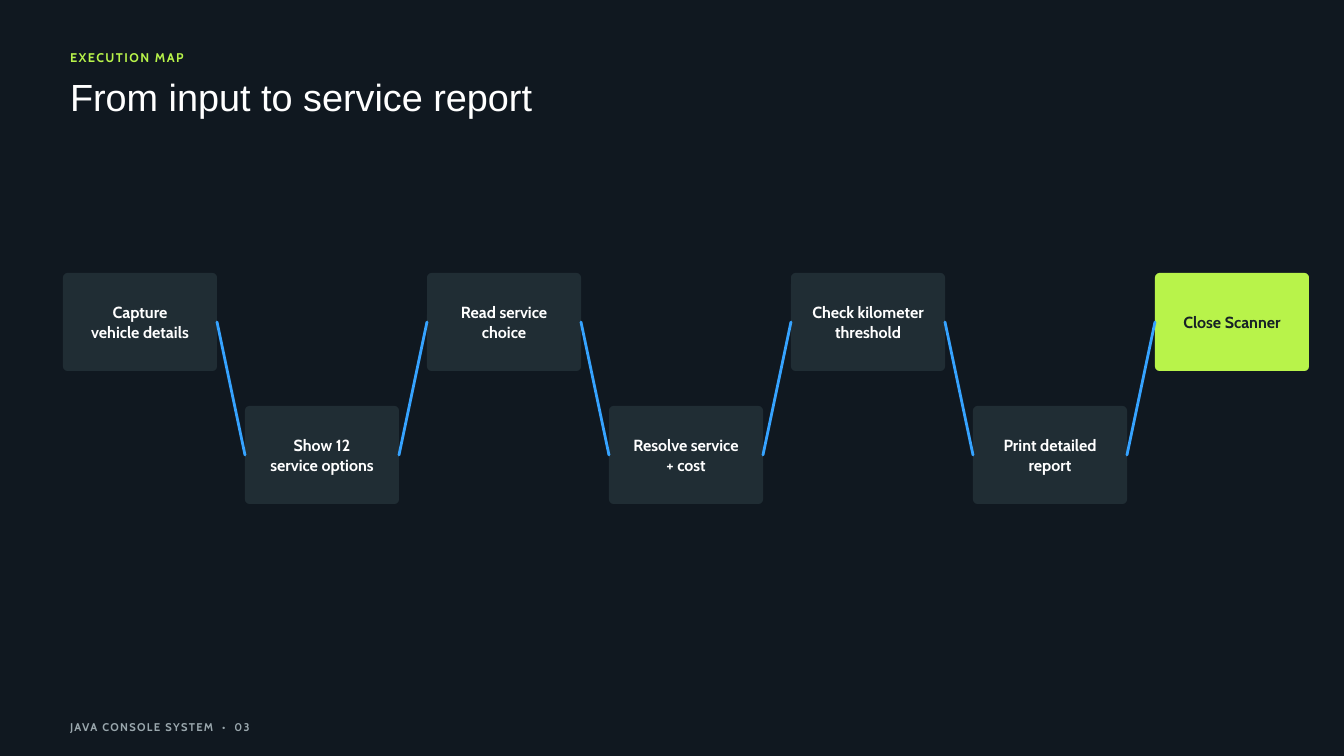
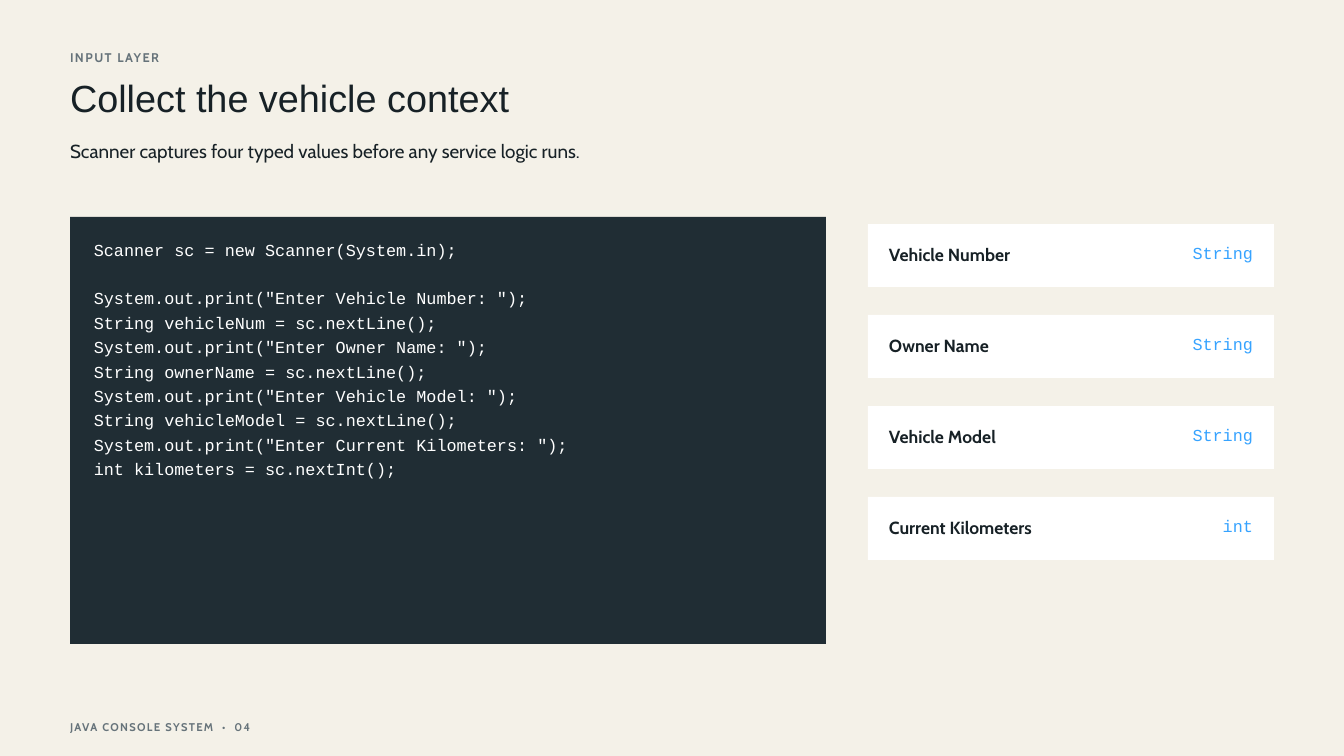
from itertools import pairwise

from lxml.etree import SubElement
from pptx import Presentation
from pptx.dml.color import RGBColor
from pptx.enum.shapes import MSO_CONNECTOR, MSO_SHAPE
from pptx.enum.text import MSO_ANCHOR, MSO_AUTO_SIZE, PP_ALIGN
from pptx.oxml.ns import qn
from pptx.util import Inches, Pt

# Shared look
COLORS = {
    "night": "101820",
    "paper": "F4F1E8",
    "panel": "202D34",
    "ink": "172126",
    "white": "FFFFFF",
    "lime": "B8F34A",
    "blue": "36A3FF",
    "slate": "66737A",
    "mist": "9AA7AD",
}
THEMES = {
    "dark": {"bg": "night", "eyebrow": "lime", "title": "white", "footer": "mist"},
    "light": {"bg": "paper", "eyebrow": "slate", "title": "ink", "footer": "slate"},
}
HEAD, BODY, CODE = "Arial", "Cabin", "Courier New"

# Grid of 192 columns by 108 rows
WIDTH, HEIGHT = Inches(20), Inches(11.25)
UNIT = WIDTH / 192
MARGIN = 10
TITLE_ONLY = 5

# Slide content
STEPS = [
    "Capture\nvehicle details",
    "Show 12\nservice options",
    "Read service\nchoice",
    "Resolve service\n+ cost",
    "Check kilometer\nthreshold",
    "Print detailed\nreport",
    "Close Scanner",
]
SCANNER_SETUP = "Scanner sc = new Scanner(System.in);"
PROMPTS = """System.out.print("Enter Vehicle Number: ");
String vehicleNum = sc.nextLine();
System.out.print("Enter Owner Name: ");
String ownerName = sc.nextLine();
System.out.print("Enter Vehicle Model: ");
String vehicleModel = sc.nextLine();
System.out.print("Enter Current Kilometers: ");
int kilometers = sc.nextInt();"""
FIELDS = [
    ("Vehicle Number", "String"),
    ("Owner Name", "String"),
    ("Vehicle Model", "String"),
    ("Current Kilometers", "int"),
]


def rgb(name):
    return RGBColor.from_string(COLORS[name])


def grid(*cells):
    return [round(c * UNIT) for c in cells]


def write(sp, text, font, size, color, leading, bold=False, align=PP_ALIGN.LEFT,
          anchor=MSO_ANCHOR.TOP, inset=0, spacing=0):
    """Fill a shape with text, one paragraph per line."""
    tf = sp.text_frame
    tf.word_wrap = True
    tf.auto_size = MSO_AUTO_SIZE.NONE
    tf.vertical_anchor = anchor
    tf.margin_left = tf.margin_right = tf.margin_top = tf.margin_bottom = Inches(inset)
    tf.text = text
    for p in tf.paragraphs:
        p.alignment = align
        p.line_spacing = Pt(leading)
        for r in p.runs:
            r.font.name = font
            r.font.size = Pt(size)
            r.font.bold = bold
            r.font.color.rgb = rgb(color)
            if spacing:
                r.font._element.set("spc", str(round(spacing * 100)))
    return tf


def add_text(s, box, *args, **kwargs):
    return write(s.shapes.add_textbox(*grid(*box)), *args, **kwargs)


def add_block(s, box, color, shape=MSO_SHAPE.RECTANGLE):
    sp = s.shapes.add_shape(shape, *grid(*box))
    sp.shadow.inherit = False
    sp.fill.solid()
    sp.fill.fore_color.rgb = rgb(color)
    sp.line.fill.background()
    return sp


def add_base(prs, theme, eyebrow, title, title_top, number):
    """Add a slide with its background, eyebrow, title and footer."""
    look = THEMES[theme]
    s = prs.slides.add_slide(prs.slide_layouts[TITLE_ONLY])
    s.background.fill.solid()
    s.background.fill.fore_color.rgb = rgb(look["bg"])
    sp = s.shapes.title
    sp.left, sp.top, sp.width, sp.height = grid(MARGIN, title_top, 120, 6)
    write(sp, title, HEAD, 40.5, look["title"], 42.5)
    add_text(s, (MARGIN, 6.7, 50, 2.4), eyebrow, BODY, 13.5, look["eyebrow"], 18.9,
             bold=True, spacing=1.6)
    add_text(s, (MARGIN, 102.6, 60, 2.1), f"JAVA CONSOLE SYSTEM  •  {number:02}",
             BODY, 12, look["footer"], 16.8, bold=True, spacing=1.4)
    return s


def add_step(s, index, label, last):
    """Add one step box; odd steps sit on the lower row."""
    box = (9 + 26 * index, 39 + 19 * (index % 2), 22, 14)
    sp = add_block(s, box, "lime" if last else "panel", MSO_SHAPE.ROUNDED_RECTANGLE)
    sp.adjustments[0] = 0.045
    write(sp, label, BODY, 17.2, "ink" if last else "white", 20.7, bold=True,
          align=PP_ALIGN.CENTER, anchor=MSO_ANCHOR.MIDDLE, inset=0.06)
    return sp


def add_link(s, start, end):
    """Join the right side of one step to the left side of the next."""
    cx = s.shapes.add_connector(MSO_CONNECTOR.STRAIGHT, 0, 0, 0, 0)
    cx.begin_connect(start, 3)
    cx.end_connect(end, 1)
    cx.line.color.rgb = rgb("blue")
    cx.line.width = Pt(3)
    cx.get_or_add_ln().set("cap", "rnd")
    SubElement(cx._element.spPr, qn("a:effectLst"))


def add_field(s, index, name, kind):
    """Add one card with a field name and its type."""
    top = 32 + 13 * index
    add_block(s, (124, top, 58, 9), "white")
    add_text(s, (127, top + 2.3, 39, 3.3), name, BODY, 18.8, "ink", 26.2, bold=True)
    add_text(s, (166, top + 2.2, 13, 3.2), kind, CODE, 18, "blue", 25.2,
             align=PP_ALIGN.RIGHT)


def build_execution_map(prs):
    s = add_base(prs, "dark", "EXECUTION MAP", "From input to service report", 11.3, 3)
    steps = [add_step(s, i, label, i == len(STEPS) - 1) for i, label in enumerate(STEPS)]
    for start, end in pairwise(steps):
        add_link(s, start, end)


def build_input_layer(prs):
    s = add_base(prs, "light", "INPUT LAYER", "Collect the vehicle context", 11.5, 4)
    add_text(s, (MARGIN, 19.6, 87, 3.5),
             "Scanner captures four typed values before any service logic runs.",
             BODY, 20.2, "ink", 27.3)
    # Code panel, with a one-line gap after the setup
    add_block(s, (MARGIN, 31, 108, 61), "panel")
    tf = add_text(s, (13.4, 33.6, 101.2, 33.8), f"{SCANNER_SETUP}\n{PROMPTS}",
                  CODE, 18, "white", 26.1)
    tf.paragraphs[1].space_before = Pt(26.1)
    # Field cards
    for i, (name, kind) in enumerate(FIELDS):
        add_field(s, i, name, kind)


def main():
    prs = Presentation()
    prs.slide_width, prs.slide_height = WIDTH, HEIGHT
    build_execution_map(prs)
    build_input_layer(prs)
    prs.save("out.pptx")


if __name__ == "__main__":
    main()
